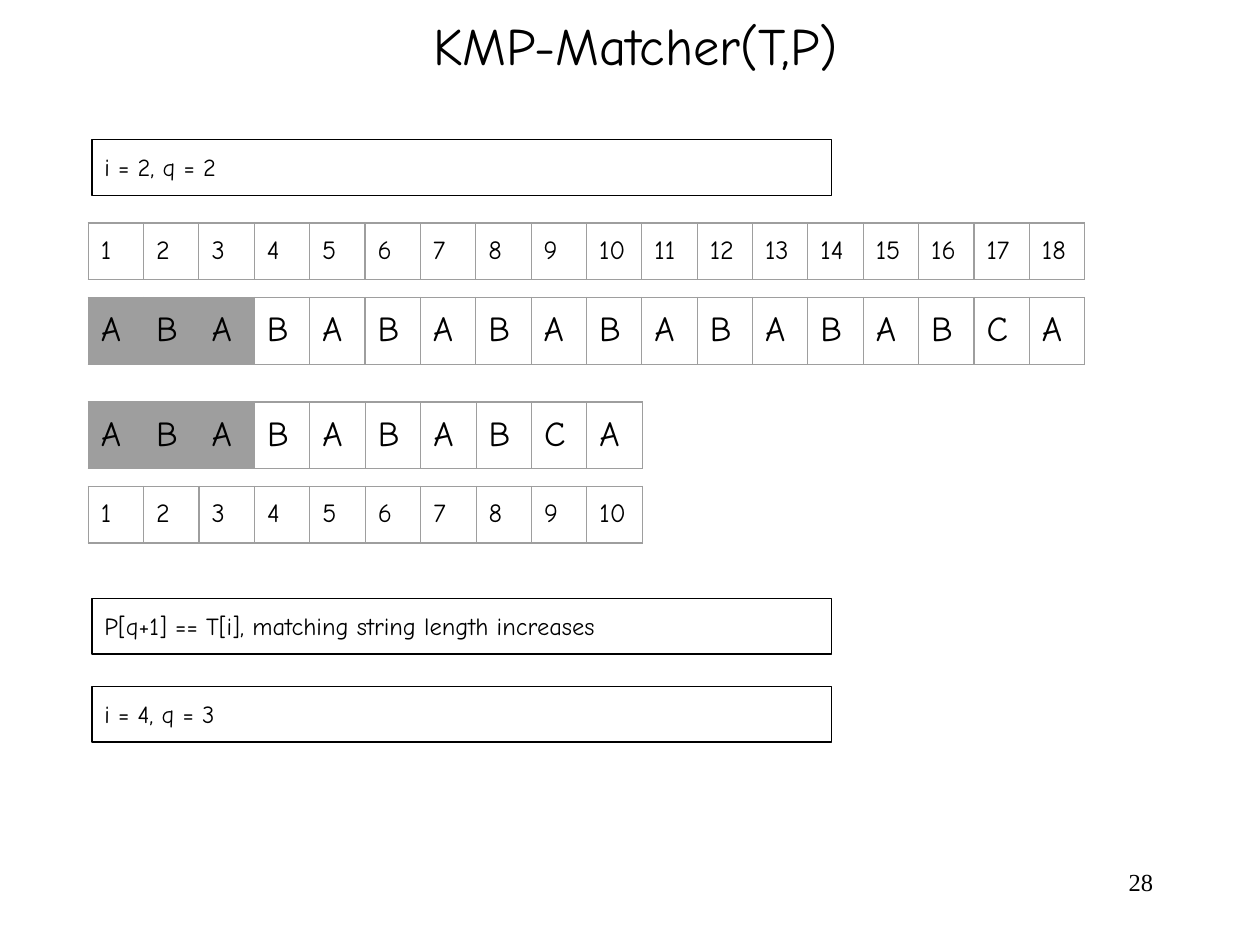
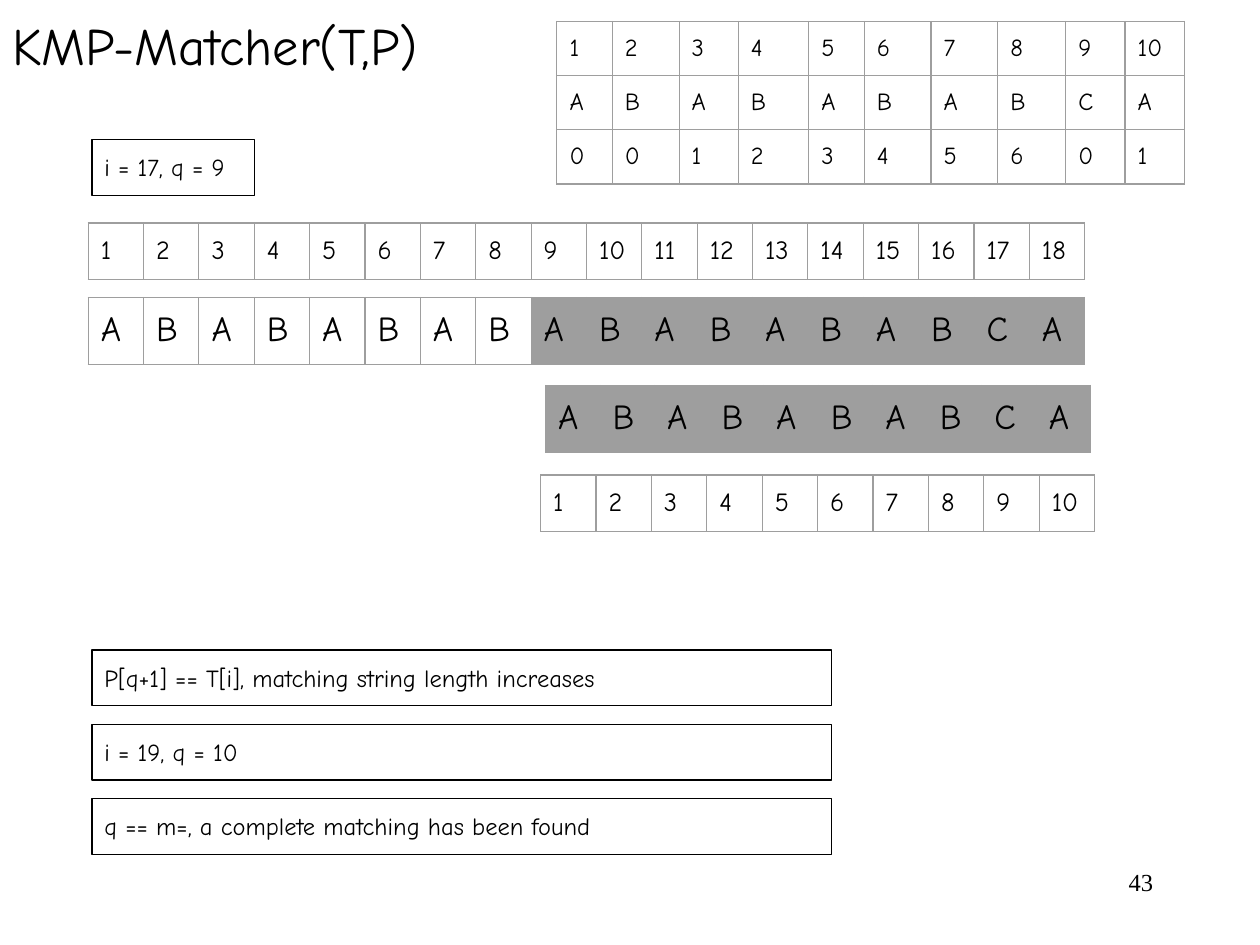
import lxml.etree
import pptx
import pptx.dml.color
import pptx.enum.shapes
import pptx.enum.text
import pptx.oxml.ns
import pptx.util

Inches = pptx.util.Inches
Pt = pptx.util.Pt
RGBColor = pptx.dml.color.RGBColor
ALIGN = pptx.enum.text.PP_ALIGN

# Shared look
BLACK = RGBColor(0x00, 0x00, 0x00)
GREY = RGBColor(0x9E, 0x9E, 0x9E)
BODY_FONT = "Comic Neue"
NUMBER_FONT = "Times New Roman"
TITLE = "KMP-Matcher(T,P)"
INSET = 0.1
TEXT_LEFT = 0.7
NOTE_LEFT, NOTE_WIDTH, NOTE_HEIGHT = 0.73, 5.87, 0.44
LETTER_SIZE, LETTER_HEIGHT = 20, 0.53
INDEX_SIZE, INDEX_HEIGHT = 15, 0.45
FAILURE_SIZE, FAILURE_HEIGHT = 14, 0.43

# The strings being matched
TEXT = "ABABABABABABABABCA"
PATTERN = "ABABABABCA"
TEXT_WIDTH, PATTERN_WIDTH = 7.91, 4.4
FAILURE = [0, 0, 1, 2, 3, 4, 5, 6, 0, 1]
FAILURE_COLUMNS = [0.44, 0.53, 0.47, 0.56, 0.44, 0.53, 0.53, 0.54, 0.47, 0.47]
STEP = "P[q+1] == T[i], matching string length increases"


def write(frame, text, size, font=BODY_FONT, align=ALIGN.LEFT, inset_y=INSET):
    """Fill a text frame with one run."""
    frame.word_wrap = True
    frame.auto_size = pptx.enum.text.MSO_AUTO_SIZE.NONE
    frame.vertical_anchor = pptx.enum.text.MSO_ANCHOR.TOP
    frame.margin_left = frame.margin_right = Inches(INSET)
    frame.margin_top = frame.margin_bottom = Inches(inset_y)
    add_text(frame.paragraphs[0], text, size, font, align)


def add_text(paragraph, text, size, font=BODY_FONT, align=ALIGN.LEFT):
    paragraph.alignment = align
    run = paragraph.add_run()
    run.text = text
    run.font.size = Pt(size)
    run.font.name = font
    run.font.color.rgb = BLACK


def add_step_slide(deck, number, title_width, title_align):
    """Start a slide with its title and slide number."""
    slide = deck.slides.add_slide(deck.slide_layouts[5])
    title = slide.shapes.title
    title.left, title.top = Inches(0), Inches(0)
    title.width, title.height = Inches(title_width), Inches(0.71)
    write(title.text_frame, TITLE, 30, align=title_align)

    page = slide.shapes.add_textbox(
        Inches(7.17), Inches(6.83), Inches(2.08), Inches(0.5))
    write(page.text_frame, str(number), 14, NUMBER_FONT, ALIGN.RIGHT, 0.05)
    return slide


def add_note(slide, top, text, width=NOTE_WIDTH):
    """Outlined box that states the current step."""
    note = slide.shapes.add_shape(
        pptx.enum.shapes.MSO_SHAPE.RECTANGLE,
        Inches(NOTE_LEFT), Inches(top), Inches(width), Inches(NOTE_HEIGHT))
    note.shadow.inherit = False
    note.fill.background()
    note.line.color.rgb = BLACK
    note.line.width = Pt(0.75)
    write(note.text_frame, text, 14)


def add_borders(cell):
    properties = cell._tc.get_or_add_tcPr()
    for position, side in enumerate(("lnL", "lnR", "lnT", "lnB")):
        line = lxml.etree.Element(pptx.oxml.ns.qn("a:" + side), w=str(Pt(0.75)))
        fill = lxml.etree.SubElement(line, pptx.oxml.ns.qn("a:solidFill"))
        lxml.etree.SubElement(fill, pptx.oxml.ns.qn("a:srgbClr"), val=str(GREY))
        properties.insert(position, line)


def fill_cell(cell, text, size, matched):
    cell.margin_left = cell.margin_right = Inches(INSET)
    cell.margin_top = cell.margin_bottom = Inches(INSET)
    if matched:
        cell.fill.solid()
        cell.fill.fore_color.rgb = GREY
    else:
        cell.fill.background()
    add_borders(cell)
    add_text(cell.text_frame.paragraphs[0], str(text), size)


def add_grid(slide, left, top, rows, widths, row_height, size, matched=()):
    """Bordered table; the columns listed in matched are shaded."""
    grid = slide.shapes.add_table(
        len(rows), len(widths), Inches(left), Inches(top),
        Inches(sum(widths)), Inches(row_height * len(rows))).table
    grid.first_row = grid.horz_banding = False
    for column, width in zip(grid.columns, widths):
        column.width = Inches(width)
    for row_index, values in enumerate(rows):
        grid.rows[row_index].height = Inches(row_height)
        for column_index, value in enumerate(values):
            fill_cell(grid.cell(row_index, column_index), value, size,
                      column_index in matched)


def add_letters(slide, left, top, width, letters, matched):
    widths = [width / len(letters)] * len(letters)
    add_grid(slide, left, top, [letters], widths, LETTER_HEIGHT, LETTER_SIZE, matched)


def add_indices(slide, left, top, width, count):
    add_grid(slide, left, top, [range(1, count + 1)], [width / count] * count,
             INDEX_HEIGHT, INDEX_SIZE)


def add_searched_text(slide, matched):
    add_indices(slide, TEXT_LEFT, 1.77, TEXT_WIDTH, len(TEXT))
    add_letters(slide, TEXT_LEFT, 2.36, TEXT_WIDTH, TEXT, matched)


def build_third_match(deck):
    slide = add_step_slide(deck, 28, 10.09, ALIGN.CENTER)
    matched = range(3)
    add_note(slide, 1.11, "i = 2, q = 2")
    add_searched_text(slide, matched)
    add_letters(slide, TEXT_LEFT, 3.19, PATTERN_WIDTH, PATTERN, matched)
    add_indices(slide, TEXT_LEFT, 3.86, PATTERN_WIDTH, len(PATTERN))
    add_note(slide, 4.75, STEP)
    add_note(slide, 5.45, "i = 4, q = 3")


def build_complete_match(deck):
    slide = add_step_slide(deck, 43, 3.98, ALIGN.LEFT)
    add_note(slide, 1.11, "i = 17, q = 9", width=1.29)

    # Prefix function of the pattern
    add_grid(slide, 4.42, 0.17, [range(1, len(PATTERN) + 1), PATTERN, FAILURE],
             FAILURE_COLUMNS, FAILURE_HEIGHT, FAILURE_SIZE)

    # Pattern aligned with the end of the text
    add_searched_text(slide, range(len(TEXT) - len(PATTERN), len(TEXT)))
    add_letters(slide, 4.33, 3.06, 4.33, PATTERN, range(len(PATTERN)))
    add_indices(slide, 4.29, 3.77, PATTERN_WIDTH, len(PATTERN))

    conclusions = [STEP, "i = 19, q = 10",
                   "q == m=, a complete matching has been found"]
    for index, text in enumerate(conclusions):
        add_note(slide, 5.16 + 0.59 * index, text)


def main():
    deck = pptx.Presentation()
    deck.slide_width, deck.slide_height = Inches(10), Inches(7.5)
    build_third_match(deck)
    build_complete_match(deck)
    deck.save("out.pptx")


if __name__ == "__main__":
    main()
